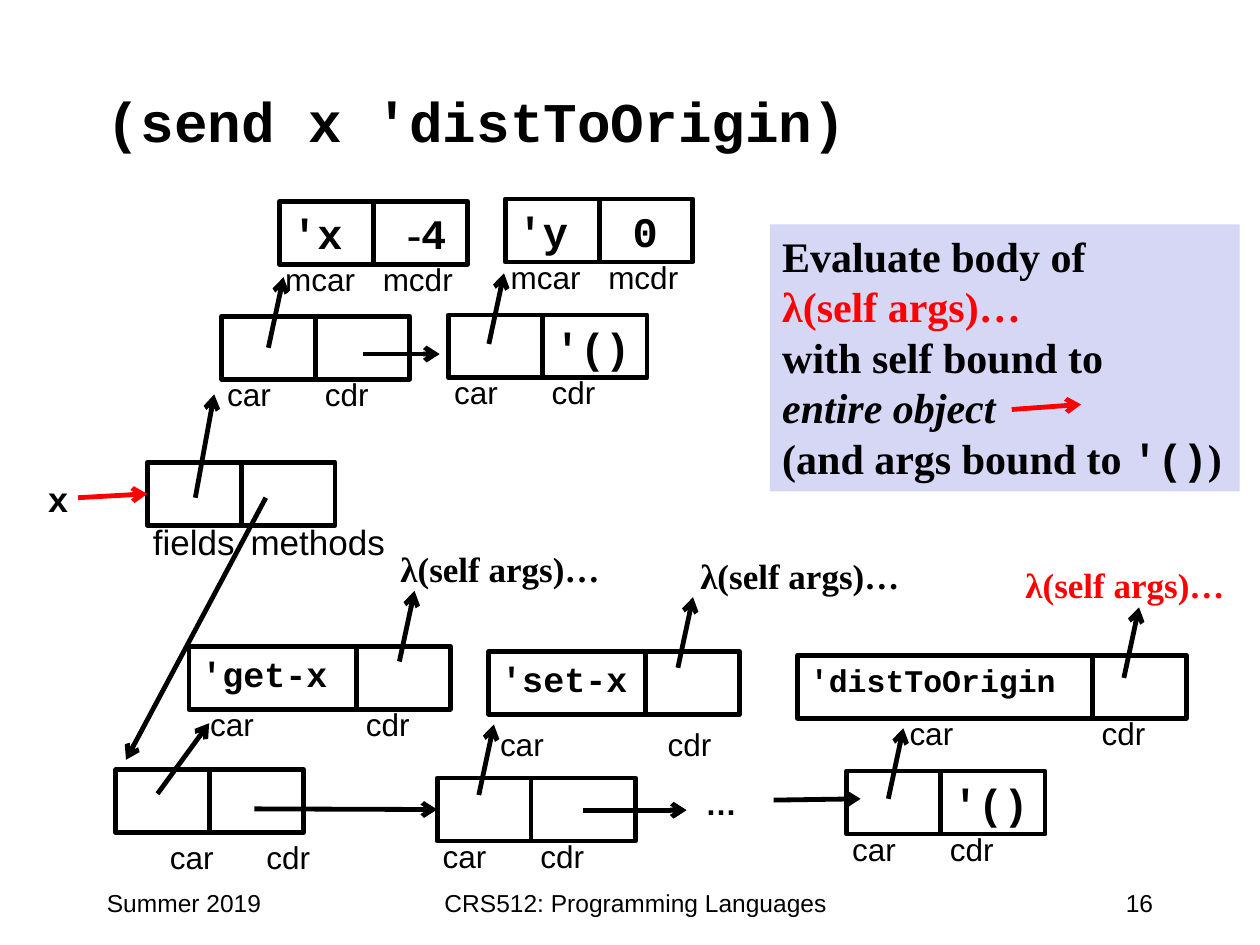
"""Build a slide of cons-cell diagrams showing how a method is sent to an object."""
from lxml.etree import SubElement
from pptx import Presentation
from pptx.dml.color import RGBColor
from pptx.enum.shapes import MSO_CONNECTOR, MSO_SHAPE
from pptx.enum.text import MSO_ANCHOR, MSO_AUTO_SIZE, PP_ALIGN
from pptx.oxml.ns import qn
from pptx.util import Inches, Pt

BLACK = RGBColor(0x00, 0x00, 0x00)
RED = RGBColor(0xFF, 0x00, 0x00)
LAVENDER = RGBColor(0xD6, 0xD6, 0xF5)
SANS, CODE, SERIF = "Arial", "Courier New", "Times New Roman"
STROKE = Pt(2.75)
CELL, WIDE_CELL, CELL_HEIGHT = 7.45, 8.3, 5
LABEL_WIDTHS = {"car": 5.5, "cdr": 5.5, "mcar": 7.6, "mcdr": 7.6, "fields": 8.6, "methods": 12.8}

deck = Presentation()
deck.slide_width, deck.slide_height = Inches(10), Inches(7.5)
COL, ROW = deck.slide_width / 100, deck.slide_height / 75
slide = deck.slides.add_slide(deck.slide_layouts[6])
shapes = slide.shapes


def grid(left, top, width, height):
    return int(left * COL), int(top * ROW), int(width * COL), int(height * ROW)


def write(paragraph, text, font, size, bold=False, color=BLACK, align=PP_ALIGN.LEFT):
    paragraph.alignment = align
    paragraph.font.name, paragraph.font.size = font, Pt(size)
    paragraph.font.bold = bold
    paragraph.font.color.rgb = color
    paragraph.add_run().text = text


title = shapes.add_textbox(*grid(7.5, 3.3, 88.3, 12.5)).text_frame
title.word_wrap = True
title.vertical_anchor = MSO_ANCHOR.MIDDLE
write(title.paragraphs[0], "(send x 'distToOrigin)", CODE, 32, True)

for left, width, text, align in [
    (7.5, 20.8, "Summer 2019", PP_ALIGN.LEFT),
    (31.7, 37.5, "CRS512: Programming Languages", PP_ALIGN.CENTER),
    (71.7, 20.8, "16", PP_ALIGN.RIGHT),
]:
    footer = shapes.add_textbox(*grid(left, 70, width, 5)).text_frame
    footer.word_wrap = True
    write(footer.paragraphs[0], text, SANS, 14, align=align)

pairs = {
    "object": (11.7, 36.7, CELL, CELL, "", "", 24),
    "x field": (22.2, 16, CELL, CELL, "'x", "-4", 24),
    "first field": (17.6, 25.1, CELL, CELL, "", "", 24),
    "y field": (40.1, 15.8, CELL, CELL, "'y", "0", 24),
    "last field": (35.6, 25, CELL, WIDE_CELL, "", "'()", 24),
    "get-x": (15, 51.3, 13.3, CELL, "'get-x", "", 20),
    "first method": (9.2, 61.1, CELL, CELL, "", "", 24),
    "set-x": (38.8, 51.7, 12.45, CELL, "'set-x", "", 20),
    "second method": (34.7, 61.75, CELL, WIDE_CELL, "", "", 24),
    "distToOrigin": (63.3, 52, 23.4, CELL, "'distToOrigin", "", 18),
    "last method": (67.2, 61.2, CELL, WIDE_CELL, "", "'()", 24),
}
pair_labels = {
    "object": ("fields", "methods"),
    "x field": ("mcar", "mcdr"),
    "y field": ("mcar", "mcdr"),
}
label_nudges = {
    "get-x": (1.25, 0, 0),
    "first method": (3.85, 3.75, 0.75),
    "set-x": (0.45, 1, 1.2),
    "distToOrigin": (8.45, 0, 0),
}

notes = [
    (2.8, 37.4, 3.7, "x", CODE, 20, True, BLACK),
    (55, 61.7, 4.5, "…", SANS, 18, True, BLACK),
    (30.8, 43, 18.7, "λ(self args)…", SERIF, 20, True, BLACK),
    (54.6, 43.5, 18.7, "λ(self args)…", SERIF, 20, True, BLACK),
    (80.4, 44.2, 18.7, "λ(self args)…", SERIF, 20, True, RED),
]

car_cells = {}
for name, (left, top, car_width, cdr_width, car, cdr, size) in pairs.items():
    labels = pair_labels.get(name, ("car", "cdr"))
    label_size = 20 if name == "object" else 18
    car_nudge, cdr_nudge, drop = label_nudges.get(name, (0, 0, 0))
    for label, cell_left, width, text, shift in [
        (labels[0], left, car_width, car, car_nudge - 0.55),
        (labels[1], left + car_width, cdr_width, cdr, cdr_nudge - 0.25),
    ]:
        cell = shapes.add_shape(
            MSO_SHAPE.RECTANGLE, *grid(cell_left, top, width, CELL_HEIGHT))
        cell.shadow.inherit = False
        cell.fill.background()
        cell.line.color.rgb, cell.line.width = BLACK, STROKE
        car_cells.setdefault(name, cell)
        notes.append((cell_left + shift, top + 4.15 + drop, LABEL_WIDTHS[label],
                      label, SANS, label_size, False, BLACK))
        if text:
            frame = cell.text_frame
            frame.vertical_anchor = MSO_ANCHOR.TOP
            content = frame.paragraphs[0]
            digits = text.lstrip("-")
            if digits.isdigit():
                frame.margin_left = int(2.67 * COL)
            if digits != text:
                write(content, "-", SERIF, size, True)
                number = content.add_run()
                number.text, number.font.name = digits, CODE
            else:
                write(content, text, CODE, size, True)

for left, top, width, text, font, size, bold, color in notes:
    note = shapes.add_textbox(*grid(left, top, width, size * 0.22)).text_frame
    note.word_wrap = False
    note.auto_size = MSO_AUTO_SIZE.SHAPE_TO_FIT_TEXT
    write(note.paragraphs[0], text, font, size, bold, color)

callout = shapes.add_shape(MSO_SHAPE.RECTANGLE, *grid(61.1, 17.8, 37.3, 21.2))
callout.shadow.inherit = False
callout.fill.solid()
callout.fill.fore_color.rgb = LAVENDER
callout.line.fill.background()
message = callout.text_frame
message.word_wrap = False
message.auto_size = MSO_AUTO_SIZE.SHAPE_TO_FIT_TEXT
message.vertical_anchor = MSO_ANCHOR.TOP
for index, (text, color) in enumerate([
    ("Evaluate body of", BLACK),
    ("λ(self args)…", RED),
    ("with self bound to", BLACK),
    ("entire object", BLACK),
    ("(and args bound to ", BLACK),
]):
    line = message.add_paragraph() if index else message.paragraphs[0]
    write(line, text, SERIF, 24, True, color)
    line.font.italic = text == "entire object"
empty_list = line.add_run()
empty_list.text, empty_list.font.name = "'()", CODE
line.add_run().text = ")"

upward_starts = [(21.3, 27.6), (38.8, 27.3), (38, 63.1), (70.5, 63.4),
                 (31.7, 52.5), (53.8, 53), (89.2, 53.8)]
pointers = [(x, y, x + 1.2, y - 5.6, BLACK, None) for x, y in upward_starts] + [
    (6.2, 39.5, 11.7, 39.2, RED, "object"),
    (15.5, 39.5, 17, 31.3, BLACK, None),
    (28.8, 28.1, 34.9, 28.1, BLACK, None),
    (12.5, 63, 16.6, 57.4, BLACK, None),
    (20.2, 64.2, 34.7, 64.3, BLACK, "second method"),
    (21.1, 39.5, 10, 60.3, BLACK, None),
    (46.3, 64.3, 54.5, 64.3, BLACK, None),
    (61.4, 63.5, 68.3, 63.4, BLACK, None),
    (80.3, 32.5, 85.8, 32.1, RED, None),
]
for start_x, start_y, end_x, end_y, color, target in pointers:
    pointer = shapes.add_connector(
        MSO_CONNECTOR.STRAIGHT, *grid(start_x, start_y, end_x, end_y))
    if target:
        pointer.end_connect(car_cells[target], 1)
    pointer.line.color.rgb, pointer.line.width = color, STROKE
    properties = pointer._element.spPr
    SubElement(properties.find(qn("a:ln")), qn("a:tailEnd"), type="arrow")
    SubElement(properties, qn("a:effectLst"))

deck.save("out.pptx")
